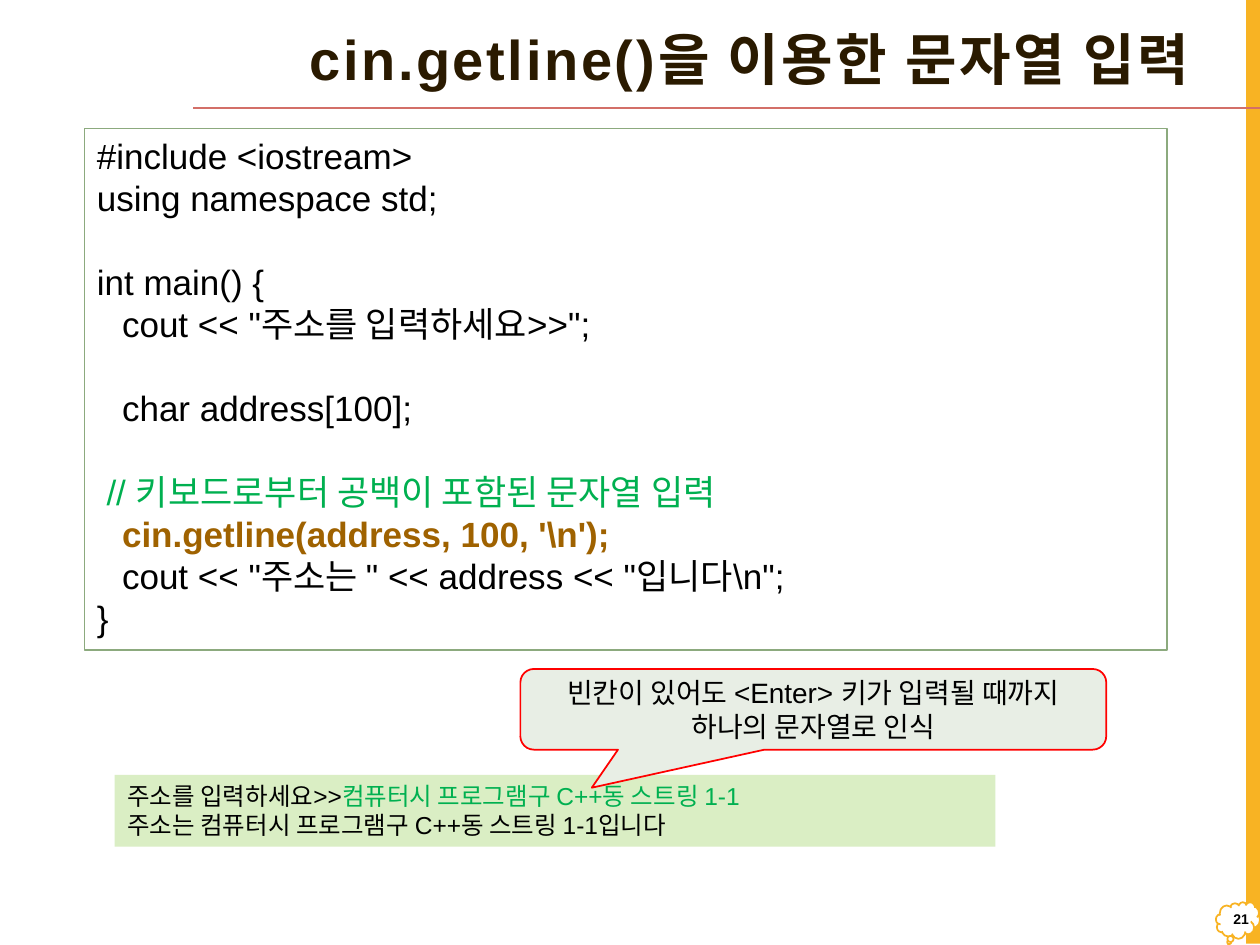
from lxml.etree import SubElement
from pptx import Presentation
from pptx.dml.color import RGBColor
from pptx.enum.shapes import MSO_CONNECTOR, MSO_SHAPE
from pptx.enum.text import MSO_ANCHOR, PP_ALIGN
from pptx.oxml.ns import qn
from pptx.util import Inches, Pt

BLACK = RGBColor(0x00, 0x00, 0x00)
WHITE = RGBColor(0xFF, 0xFF, 0xFF)
AMBER = RGBColor(0xF8, 0xB3, 0x23)
ROSE = RGBColor(0xD3, 0x6F, 0x68)
TITLE_BROWN = RGBColor(0x2A, 0x1A, 0x00)
CODE_BROWN = RGBColor(0x9F, 0x62, 0x00)
GREEN = RGBColor(0x00, 0xB0, 0x50)
PALE_GREEN = RGBColor(0xDA, 0xEE, 0xC4)
SAGE = RGBColor(0x8C, 0xAA, 0x7E)
PALE_SAGE = RGBColor(0xE8, 0xEE, 0xE5)
RED = RGBColor(0xFF, 0x00, 0x00)

TITLE = [[("cin.getline()을 이용한 문자열 입력", TITLE_BROWN, True)]]
PAGE = [[("21", BLACK, True)]]
OUTPUT = [
    [("주소를 입력하세요>>", BLACK, False),
     ("컴퓨터시 프로그램구 C++동 스트링 1-1", GREEN, False)],
    [("주소는 컴퓨터시 프로그램구 C++동 스트링 1-1입니다", BLACK, False)],
]
CODE = [[(line, color, bold)] for line, color, bold in [
    ("#include <iostream>", BLACK, False),
    ("using namespace std;", BLACK, False),
    ("", BLACK, False),
    ("int main() {", BLACK, False),
    ("\tcout << \"주소를 입력하세요>>\";", BLACK, False),
    ("", BLACK, False),
    ("\tchar address[100];", BLACK, False),
    ("", BLACK, False),
    (" // 키보드로부터 공백이 포함된 문자열 입력", GREEN, False),
    ("\tcin.getline(address, 100, '\\n');", CODE_BROWN, True),
    ("\tcout << \"주소는 \" << address << \"입니다\\n\";", BLACK, False),
    ("}", BLACK, False),
]]
NOTE = [[("빈칸이 있어도 <Enter> 키가 입력될 때까지 하나의 문자열로 인식", BLACK, False)]]


def add_box(s, kind, box, fill, line=None):
    sp = s.shapes.add_shape(kind, *map(Inches, box))
    sp.shadow.inherit = False
    sp.fill.solid()
    sp.fill.fore_color.rgb = fill
    if line is None:
        sp.line.fill.background()
    else:
        sp.line.color.rgb = line
        sp.line.width = Pt(1)
    return sp


def write(sp, paragraphs, size, align=PP_ALIGN.LEFT, anchor=MSO_ANCHOR.TOP):
    tf = sp.text_frame
    tf.word_wrap = True
    tf.vertical_anchor = anchor
    for i, runs in enumerate(paragraphs):
        p = tf.paragraphs[0] if i == 0 else tf.add_paragraph()
        p.alignment = align
        for text, color, bold in runs:
            r = p.add_run()
            r.text = text
            r.font.name = "Arial"
            r.font.size = Pt(size)
            r.font.bold = bold
            r.font.color.rgb = color
    return tf


def add_tab_stop(p, position):
    tabs = SubElement(p._p.get_or_add_pPr(), qn("a:tabLst"))
    SubElement(tabs, qn("a:tab"), pos=str(Inches(position)), algn="l")


prs = Presentation()
prs.slide_width, prs.slide_height = Inches(10), Inches(7.5)
s = prs.slides.add_slide(prs.slide_layouts[6])

add_box(s, MSO_SHAPE.RECTANGLE, (9.89, -0.01, 0.11, 7.5), AMBER)
add_box(s, MSO_SHAPE.CLOUD_CALLOUT, (9.65, 7.16, 0.35, 0.29), WHITE, AMBER)

rule = s.shapes.add_connector(
    MSO_CONNECTOR.STRAIGHT, Inches(10), Inches(0.86), Inches(1.53), Inches(0.86))
rule.line.color.rgb = ROSE
rule.line.width = Pt(1)
SubElement(rule._element.spPr, qn("a:effectLst"))

title = s.shapes.add_textbox(Inches(1.32), Inches(0.13), Inches(8.37), Inches(0.73))
tf = write(title, TITLE, 32, PP_ALIGN.RIGHT, MSO_ANCHOR.MIDDLE)
tf.margin_right = Inches(0.25)
tf.paragraphs[0].line_spacing = 0.9
tf.paragraphs[0].runs[0]._r.get_or_add_rPr().set("spc", "150")

page = s.shapes.add_textbox(Inches(9.66), Inches(7.12), Inches(0.35), Inches(0.35))
write(page, PAGE, 8, PP_ALIGN.RIGHT, MSO_ANCHOR.MIDDLE)

output = add_box(s, MSO_SHAPE.RECTANGLE, (0.91, 6.15, 6.99, 0.57), PALE_GREEN)
write(output, OUTPUT, 14)

code = add_box(s, MSO_SHAPE.RECTANGLE, (0.67, 1.02, 8.59, 4.14), WHITE, SAGE)
for p in write(code, CODE, 20).paragraphs:
    p.line_spacing = Pt(24)
    add_tab_stop(p, 0.2)

note = add_box(s, MSO_SHAPE.ROUNDED_RECTANGULAR_CALLOUT, (4.13, 5.31, 4.65, 0.64), PALE_SAGE, RED)
for i, value in enumerate((-0.378, 0.972, 0.167)):
    note.adjustments[i] = value
write(note, NOTE, 16, PP_ALIGN.CENTER, MSO_ANCHOR.MIDDLE)

prs.save("out.pptx")
